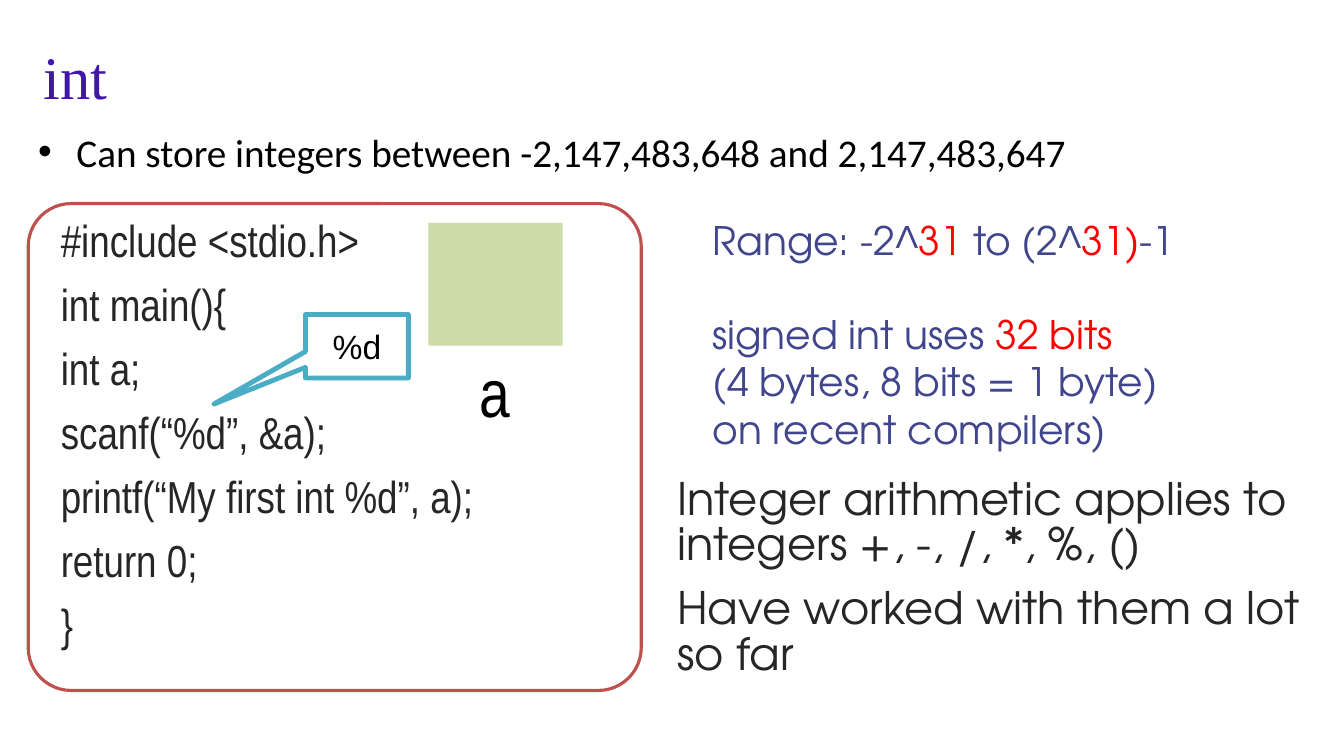
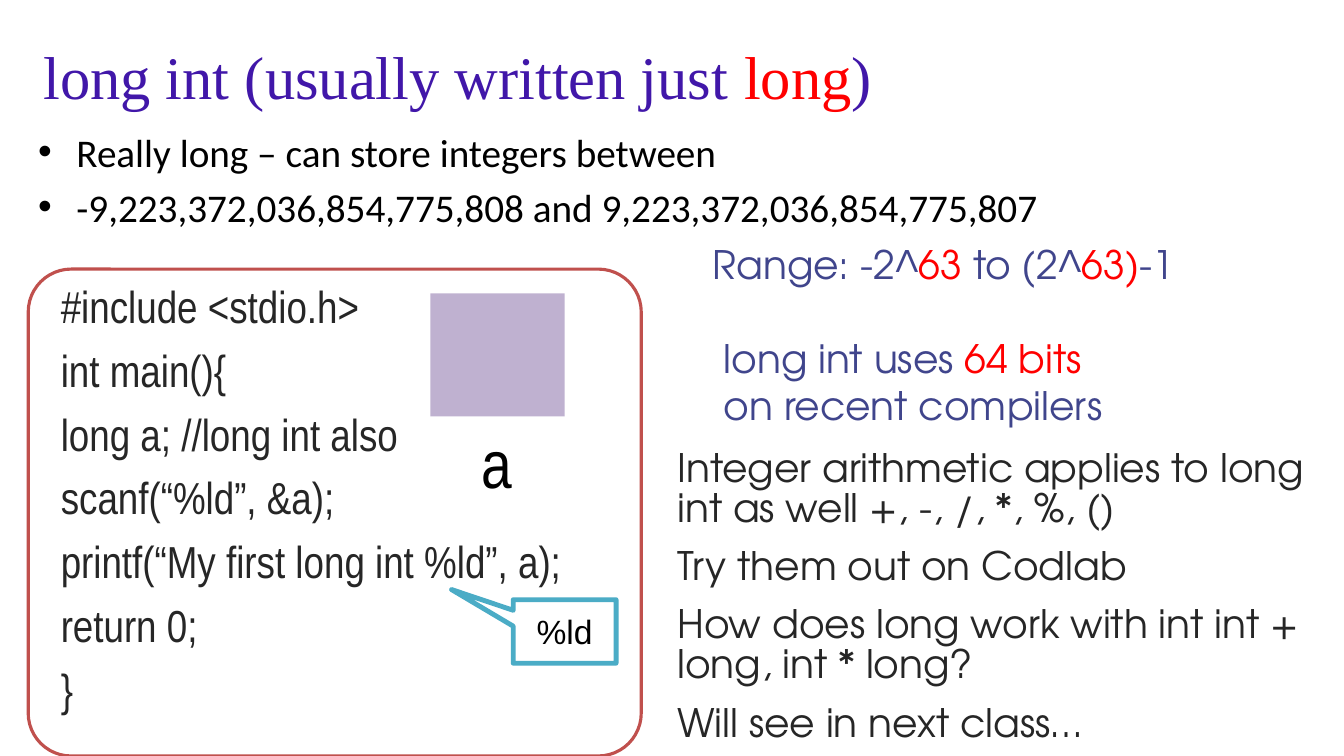
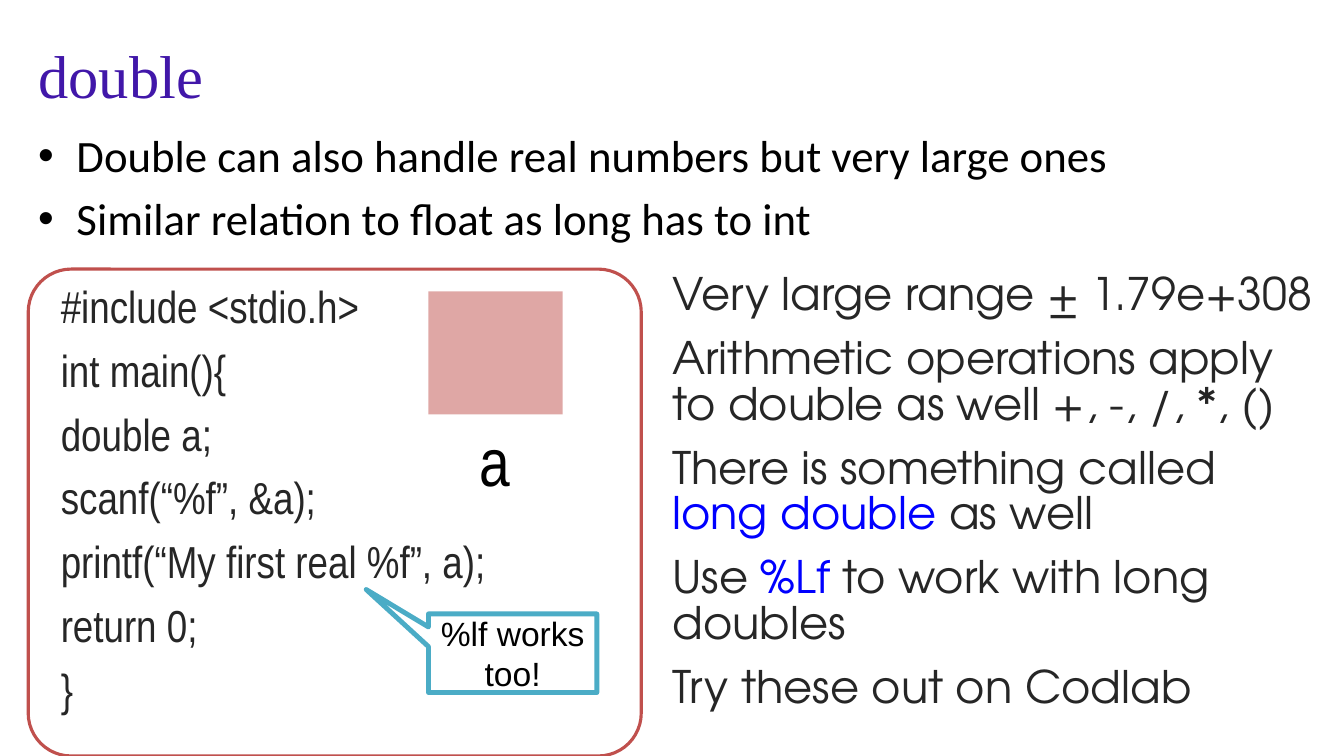
from dataclasses import dataclass
from typing import Optional, Union

from pptx import Presentation
from pptx.dml.color import RGBColor
from pptx.enum.shapes import MSO_SHAPE as SHAPE
from pptx.enum.text import MSO_ANCHOR as ANCHOR, MSO_AUTO_SIZE as AUTO, PP_ALIGN as ALIGN
from pptx.oxml.ns import qn
from pptx.util import Inches, Pt
from lxml.etree import SubElement

# Shared look
INK, BLACK, WHITE = "262626", "000000", "FFFFFF"
PURPLE, INDIGO, RED, BLUE = "4117A9", "40458C", "FF0000", "0000FF"
BOX_LINE, CALLOUT_LINE = "C0504D", "4BACC6"
SERIF, SANS, NARROW, BODY, GEOMETRIC = (
    "Times New Roman", "Arial", "Arial Narrow", "Calibri", "TeX Gyre Adventor")
CODE_WIDTH, CODE_HEIGHT = 6.08, 4.83
SQUARE_WIDTH, SQUARE_HEIGHT = 1.33, 1.22

# A line is plain text, or parts that are plain or (text, colour)
Line = Union[str, list]
Box = tuple[float, float, float, float]


@dataclass
class Style:
    font: str
    size: float
    color: str


@dataclass
class Callout:
    text: str
    box: Box
    tip: tuple[float, float]


@dataclass
class Range:
    box: Box
    bits: str
    uses: list[Line]
    indent: float = 0


@dataclass
class TypeSlide:
    title: Line
    title_at: tuple[float, float]
    bullets: list[str]
    bullet_box: Box
    bullet_size: float
    code_top: float
    declaration: str
    format_code: str
    printed: str
    square_at: tuple[float, float]
    square_color: str
    callout: Callout
    remarks: list[Line]
    remark_box: Box
    remark_size: float
    range: Optional[Range] = None


def rgb(color: str) -> RGBColor:
    return RGBColor.from_string(color)


def inches(box: Box) -> list:
    return [Inches(v) for v in box]


def write(tf, lines: list[Line], style: Style, **fmt) -> None:
    """Fill a text frame; fmt holds paragraph attributes."""
    for i, line in enumerate(lines):
        p = tf.paragraphs[0] if i == 0 else tf.add_paragraph()
        for name, value in ({"alignment": ALIGN.LEFT} | fmt).items():
            setattr(p, name, value)
        for part in [line] if isinstance(line, str) else line:
            text, color = (part, style.color) if isinstance(part, str) else part
            r = p.add_run()
            r.text = text
            for name, value in {"name": style.font, "size": Pt(style.size)}.items():
                setattr(r.font, name, value)
            r.font.color.rgb = rgb(color)


def indent(p, left: float, first: float = 0, bullet: str = "") -> None:
    pPr = p._p.get_or_add_pPr()
    pPr.set("marL", str(Inches(left)))
    pPr.set("indent", str(Inches(first)))
    if bullet:
        SubElement(pPr, qn("a:buFont")).set("typeface", SANS)
        SubElement(pPr, qn("a:buChar")).set("char", bullet)


def add_text(s, box: Box, wrap: bool = True, fit: AUTO = AUTO.NONE):
    tf = s.shapes.add_textbox(*inches(box)).text_frame
    tf.word_wrap, tf.auto_size = wrap, fit
    return tf


def add_shape(s, kind: SHAPE, box: Box, adjust: tuple = (), fill: str = "",
              line: str = "", width: float = 0, alpha: int = 100):
    sp = s.shapes.add_shape(kind, *inches(box))
    sp.shadow.inherit = False
    for i, value in enumerate(adjust):
        sp.adjustments[i] = value
    if fill:
        sp.fill.solid()
        sp.fill.fore_color.rgb = rgb(fill)
        if alpha < 100:
            clr = sp._element.spPr.find(qn("a:solidFill")).find(qn("a:srgbClr"))
            SubElement(clr, qn("a:alpha")).set("val", str(alpha * 1000))
    else:
        sp.fill.background()
    if line:
        sp.line.color.rgb = rgb(line)
        sp.line.width = Pt(width)
    else:
        sp.line.fill.background()
    return sp


def add_title(s, title: Line, at: tuple[float, float]) -> None:
    sp = s.shapes.title
    sp.left, sp.top, sp.width, sp.height = inches((*at, 12, 0.83))
    tf = sp.text_frame
    tf.auto_size, tf.vertical_anchor = AUTO.NONE, ANCHOR.MIDDLE
    write(tf, [title], Style(SERIF, 43.2, PURPLE))


def add_bullets(s, lines: list[str], box: Box, size: float) -> None:
    tf = add_text(s, box)
    write(tf, lines, Style(BODY, size, BLACK), space_before=Pt(size * 0.2))
    for p in tf.paragraphs:
        indent(p, 0.38, -0.38, "•")


def add_code(s, d: TypeSlide) -> None:
    sp = add_shape(s, SHAPE.ROUNDED_RECTANGLE, (0.28, d.code_top, CODE_WIDTH, CODE_HEIGHT),
                   (0.088,), line=BOX_LINE, width=2.25)
    tf = sp.text_frame
    tf.vertical_anchor = ANCHOR.TOP
    code = ["#include <stdio.h>", "int main(){", d.declaration,
            f"scanf(“{d.format_code}”, &a);",
            f"printf(“My first {d.printed} {d.format_code}”, a);", "return 0;", "}"]
    write(tf, code, Style(NARROW, 32, INK), line_spacing=0.85, space_before=Pt(13))
    for p in tf.paragraphs:
        indent(p, 0.1)


def add_variable(s, at: tuple[float, float], color: str) -> None:
    """Memory cell with its name below."""
    x, y = at
    add_shape(s, SHAPE.RECTANGLE, (x, y, SQUARE_WIDTH, SQUARE_HEIGHT), fill=color, alpha=50)
    tf = add_text(s, (x + 0.41, y + SQUARE_HEIGHT, 0.51, 0.91), False, AUTO.SHAPE_TO_FIT_TEXT)
    write(tf, ["a"], Style(NARROW, 48, BLACK))


def add_callout(s, c: Callout) -> None:
    sp = add_shape(s, SHAPE.RECTANGULAR_CALLOUT, c.box, c.tip, WHITE, CALLOUT_LINE, 3.5)
    sp.text_frame.vertical_anchor = ANCHOR.MIDDLE
    write(sp.text_frame, [c.text], Style(SANS, 24, BLACK), alignment=ALIGN.CENTER)


def add_range(s, rg: Range) -> None:
    tf = add_text(s, rg.box)
    limits = ["Range: -2^", (rg.bits, RED), " to (2^", (rg.bits + ")", RED), "-1"]
    write(tf, [limits, *rg.uses], Style(GEOMETRIC, 28, INDIGO))
    for p in tf.paragraphs[1:]:
        indent(p, rg.indent)
    tf.paragraphs[1].space_before = Pt(33.6)


def build(prs, d: TypeSlide) -> None:
    s = prs.slides.add_slide(prs.slide_layouts[5])
    add_title(s, d.title, d.title_at)
    add_bullets(s, d.bullets, d.bullet_box, d.bullet_size)
    add_code(s, d)
    write(add_text(s, d.remark_box), d.remarks, Style(GEOMETRIC, d.remark_size, INK),
          line_spacing=0.85, space_before=Pt(13))
    add_variable(s, d.square_at, d.square_color)
    add_callout(s, d.callout)
    if d.range:
        add_range(s, d.range)


SLIDES = [
    TypeSlide(
        title="int", title_at=(0.33, 0.33),
        bullets=["Can store integers between -2,147,483,648 and 2,147,483,647"],
        bullet_box=(0.28, 1.22, 12.69, 0.8), bullet_size=28,
        code_top=2.02, declaration="int a;", format_code="%d", printed="int",
        square_at=(4.25, 2.21), square_color="9BBB59",
        callout=Callout("%d", (3.03, 3.12, 1.02, 0.63), (-1.39, 0.91)),
        remarks=["Integer arithmetic applies to integers +, -, /, *, %, ()",
                 "Have worked with them a lot so far"],
        remark_box=(6.62, 4.7, 6.56, 2.15), remark_size=32,
        range=Range((6.97, 2.1, 5.33, 2.46), "31",
                    [["signed int uses ", ("32 bits", RED)],
                     "(4 bytes, 8 bits = 1 byte)", "on recent compilers)"])),
    TypeSlide(
        title=["long int (usually written just ", ("long", RED), ")"], title_at=(0.33, 0.33),
        bullets=["Really long – can store integers between",
                 "-9,223,372,036,854,775,808 and 9,223,372,036,854,775,807"],
        bullet_box=(0.28, 1.22, 12.69, 1.46), bullet_size=28,
        code_top=2.67, declaration="long a; //long int also", format_code="%ld",
        printed="long int", square_at=(4.27, 2.91), square_color="8064A2",
        callout=Callout("%ld", (5.09, 5.95, 1.02, 0.63), (-1.1, -0.66)),
        remarks=["Integer arithmetic applies to long int as well +, -, /, *, %, ()",
                 "Try them out on Codlab",
                 "How does long work with int int + long, int * long?",
                 "Will see in next class…"],
        remark_box=(6.62, 4.42, 6.56, 3.28), remark_size=28,
        range=Range((6.97, 2.33, 5.33, 1.99), "63",
                    [["long int uses ", ("64 bits", RED)], "on recent compilers"], 0.11)),
    TypeSlide(
        title="double", title_at=(0.28, 0.32),
        bullets=["Double can also handle real numbers but very large ones",
                 "Similar relation to float as long has to int"],
        bullet_box=(0.28, 1.22, 13.05, 1.46), bullet_size=32,
        code_top=2.67, declaration="double a;", format_code="%f", printed="real",
        square_at=(4.25, 2.89), square_color="C0504D",
        callout=Callout("%lf works too!", (4.25, 6.09, 1.67, 0.78), (-0.87, -0.81)),
        remarks=["Very large range ± 1.79e+308",
                 "Arithmetic operations apply to double as well +, -, /, *, ()",
                 ["There is something called ", ("long double ", BLUE), "as well"],
                 ["Use ", ("%Lf ", BLUE), "to work with long doubles"],
                 "Try these out on Codlab"],
        remark_box=(6.57, 2.67, 6.56, 4.51), remark_size=32),
]


def main() -> None:
    prs = Presentation()
    prs.slide_width, prs.slide_height = Inches(13.33), Inches(7.5)
    for d in SLIDES:
        build(prs, d)
    prs.save("out.pptx")


if __name__ == "__main__":
    main()
